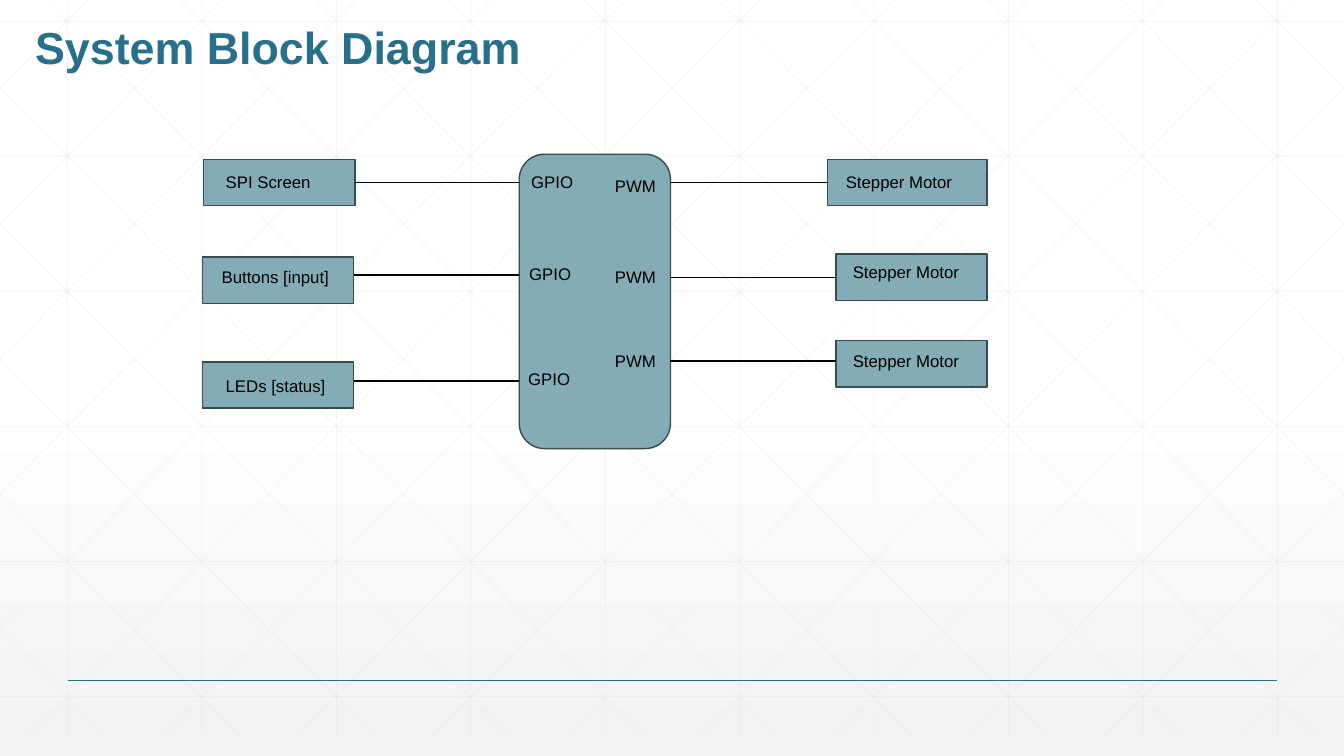
from copy import deepcopy

from lxml.etree import SubElement
from pptx import Presentation
from pptx.dml.color import RGBColor
from pptx.enum.shapes import MSO_CONNECTOR, MSO_SHAPE
from pptx.enum.text import MSO_ANCHOR
from pptx.oxml.ns import qn
from pptx.util import Inches, Pt

COLORS = {
    "white": "FFFFFF",
    "fade": "F2F2F2",
    "grid": "D9D9D9",
    "title": "276F8B",
    "block": "84ACB6",
    "border": "3A4B50",
    "black": "000000",
}
WIDTH, HEIGHT = 13.33, 7.5

prs = Presentation()
prs.slide_width, prs.slide_height = Inches(WIDTH), Inches(HEIGHT)
s = prs.slides.add_slide(prs.slide_layouts[6])


def add_text(text, x, y, w, h=0.3, size=12, color="black", bold=False,
             anchor=MSO_ANCHOR.TOP, spacing=1.0):
    tf = s.shapes.add_textbox(Inches(x), Inches(y), Inches(w), Inches(h)).text_frame
    tf.word_wrap = True
    tf.vertical_anchor = anchor
    p = tf.paragraphs[0]
    p.line_spacing = spacing
    r = p.add_run()
    r.text = text
    r.font.name, r.font.size, r.font.bold = "Arial", Pt(size), bold
    r.font.color.rgb = RGBColor.from_string(COLORS[color])


def add_line(x1, y1, x2, y2, color="black", width=1, alpha=None):
    line = s.shapes.add_connector(MSO_CONNECTOR.STRAIGHT, Inches(x1), Inches(y1),
                                  Inches(x2), Inches(y2))
    line.line.color.rgb = RGBColor.from_string(COLORS[color])
    line.line.width = Pt(width)
    spPr = line._element.spPr
    if alpha:
        clr = spPr.find(".//" + qn("a:srgbClr"))
        SubElement(clr, qn("a:alpha")).set("val", str(alpha * 1000))
    SubElement(spPr, qn("a:effectLst"))
    return line


# Background gradient: white to just past the middle, then light grey
fill = s.background.fill
fill.gradient()
fill.gradient_angle = 270
for stop, name in zip(fill.gradient_stops, ("white", "fade")):
    stop.color.rgb = RGBColor.from_string(COLORS[name])
first = s.background._cSld.find(".//" + qn("a:gs"))
middle = deepcopy(first)
first.addnext(middle)
for stop, position in zip(fill.gradient_stops, (0, 0.53, 1)):
    stop.position = position

# Background grid: verticals, horizontals, then mirrored diagonals
GRID = {"color": "grid", "width": 0.5, "alpha": 25}
TOP, BOTTOM, STEP = -0.21, 7.29, 4 / 3
SLOPE = 1.006
for i in range(10):
    x = 0.67 + i * STEP
    add_line(x, TOP, x, BOTTOM, **GRID)
for i in range(6):
    y = 0.21 + i * 1.34
    add_line(0, y, WIDTH, y, **GRID)
for i in range(-5, 10):
    start = 0.25 + i * STEP
    x1 = max(start, 0)
    x2 = min(start + (BOTTOM - TOP) / SLOPE, WIDTH)
    y1, y2 = (TOP + (x - start) * SLOPE for x in (x1, x2))
    add_line(x1, y1, x2, y2, **GRID)
    add_line(WIDTH - x1, y1, WIDTH - x2, y2, **GRID)

# Footer rule and title
add_line(0.67, 6.75, 12.67, 6.75, color="title")
add_text("System Block Diagram", 0.25, -0.21, 12, 1, size=32, color="title",
         bold=True, anchor=MSO_ANCHOR.BOTTOM, spacing=0.9)

# Blocks: the controller first, then its peripherals
CORE_LEFT, CORE_RIGHT = 5.15, 6.65
BLOCK_H = 0.46
blocks = [
    (MSO_SHAPE.FLOWCHART_ALTERNATE_PROCESS, CORE_LEFT, 1.53, 1.5, 2.92),
    (MSO_SHAPE.RECTANGLE, 2.02, 1.58, 1.5, BLOCK_H),
    (MSO_SHAPE.RECTANGLE, 2.01, 2.55, 1.5, BLOCK_H),
    (MSO_SHAPE.RECTANGLE, 2.01, 3.59, 1.5, BLOCK_H),
    (MSO_SHAPE.RECTANGLE, 8.21, 1.58, 1.58, BLOCK_H),
    (MSO_SHAPE.RECTANGLE, 8.29, 2.52, 1.5, BLOCK_H),
    (MSO_SHAPE.RECTANGLE, 8.29, 3.38, 1.5, BLOCK_H),
]
shapes = []
for kind, x, y, w, h in blocks:
    sp = s.shapes.add_shape(kind, Inches(x), Inches(y), Inches(w), Inches(h))
    sp.shadow.inherit = False
    sp.fill.solid()
    sp.fill.fore_color.rgb = RGBColor.from_string(COLORS["block"])
    sp.line.color.rgb = RGBColor.from_string(COLORS["border"])
    sp.line.width = Pt(1)
    shapes.append(sp)
core, screen, buttons, leds, motor_1, motor_2, motor_3 = shapes

# Wires, joined where they meet the middle of a block's side
add_line(3.52, 1.81, CORE_LEFT, 1.81).begin_connect(screen, 3)
add_line(3.51, 2.73, CORE_LEFT, 2.73)
add_line(3.51, 3.78, CORE_LEFT, 3.78)
add_line(CORE_RIGHT, 1.81, 8.21, 1.81).end_connect(motor_1, 1)
add_line(CORE_RIGHT, 2.75, 8.29, 2.75).end_connect(motor_2, 1)
add_line(CORE_RIGHT, 3.58, 8.29, 3.58)

# Labels
labels = [
    ("SPI Screen", 2.14, 1.65, 1.15),
    ("Buttons [input]", 2.1, 2.6, 1.5),
    ("LEDs [status]", 2.14, 3.68, 1.34),
    ("GPIO", 5.17, 1.65, 1.04),
    ("GPIO", 5.15, 2.57, 1.04),
    ("GPIO", 5.14, 3.61, 1.04),
    ("PWM", 6, 1.69, 1.04),
    ("PWM", 6, 2.6, 1.04),
    ("PWM", 6, 3.43, 1.04),
    ("Stepper Motor", 8.29, 1.65, 1.35),
    ("Stepper Motor", 8.36, 2.55, 1.35),
    ("Stepper Motor", 8.36, 3.43, 1.35),
]
for text, x, y, w in labels:
    add_text(text, x, y, w)

prs.save("out.pptx")
